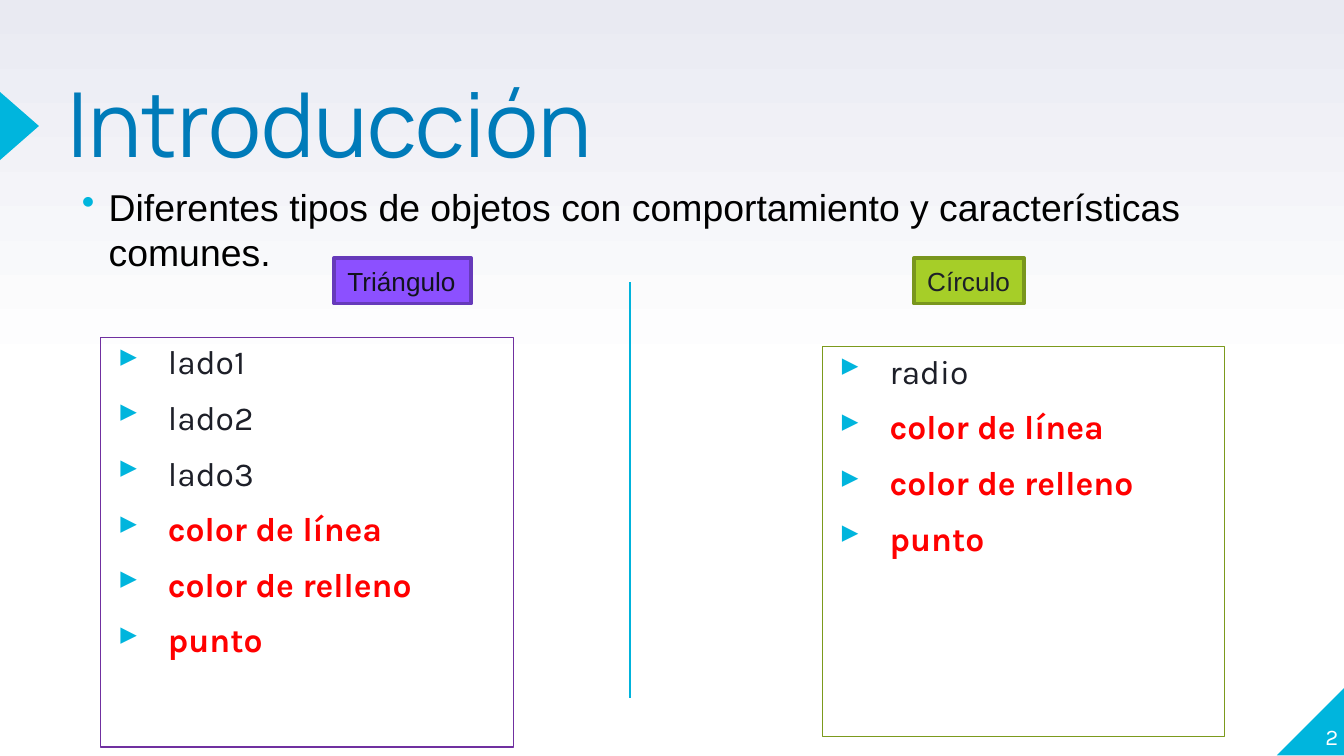
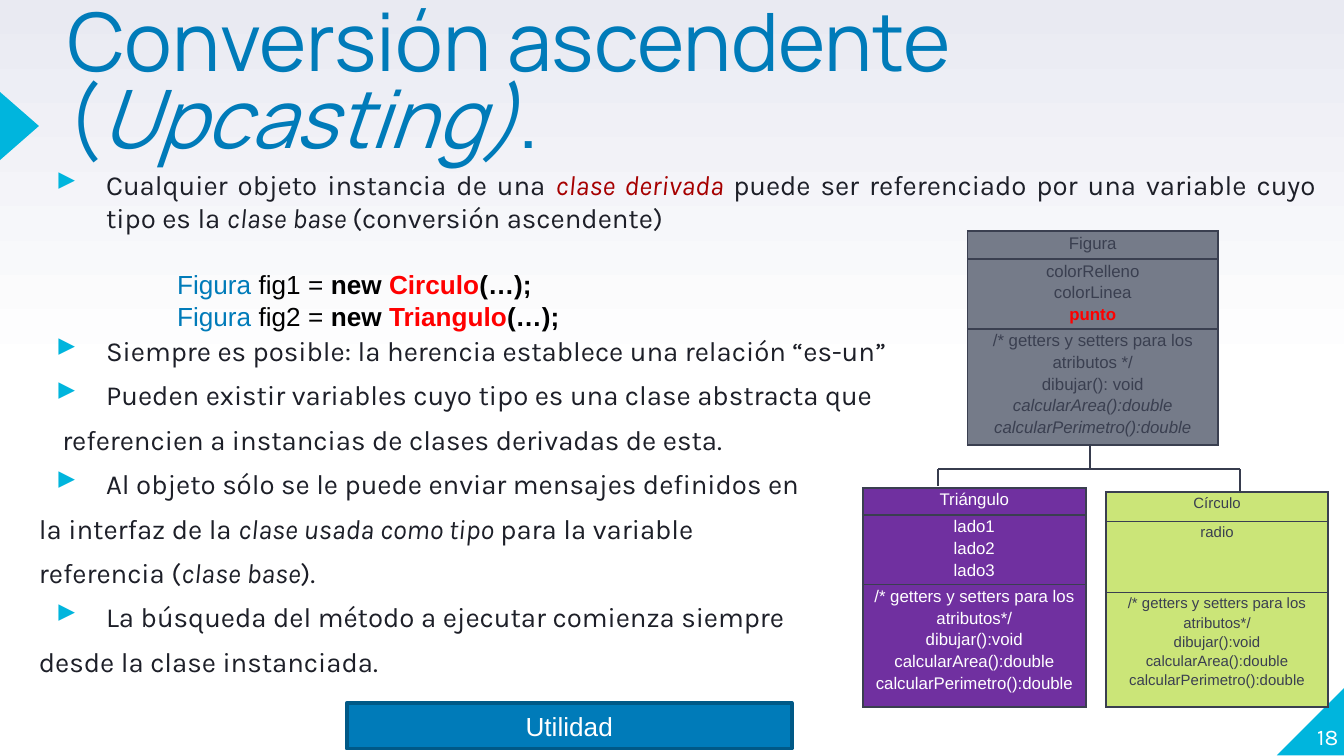
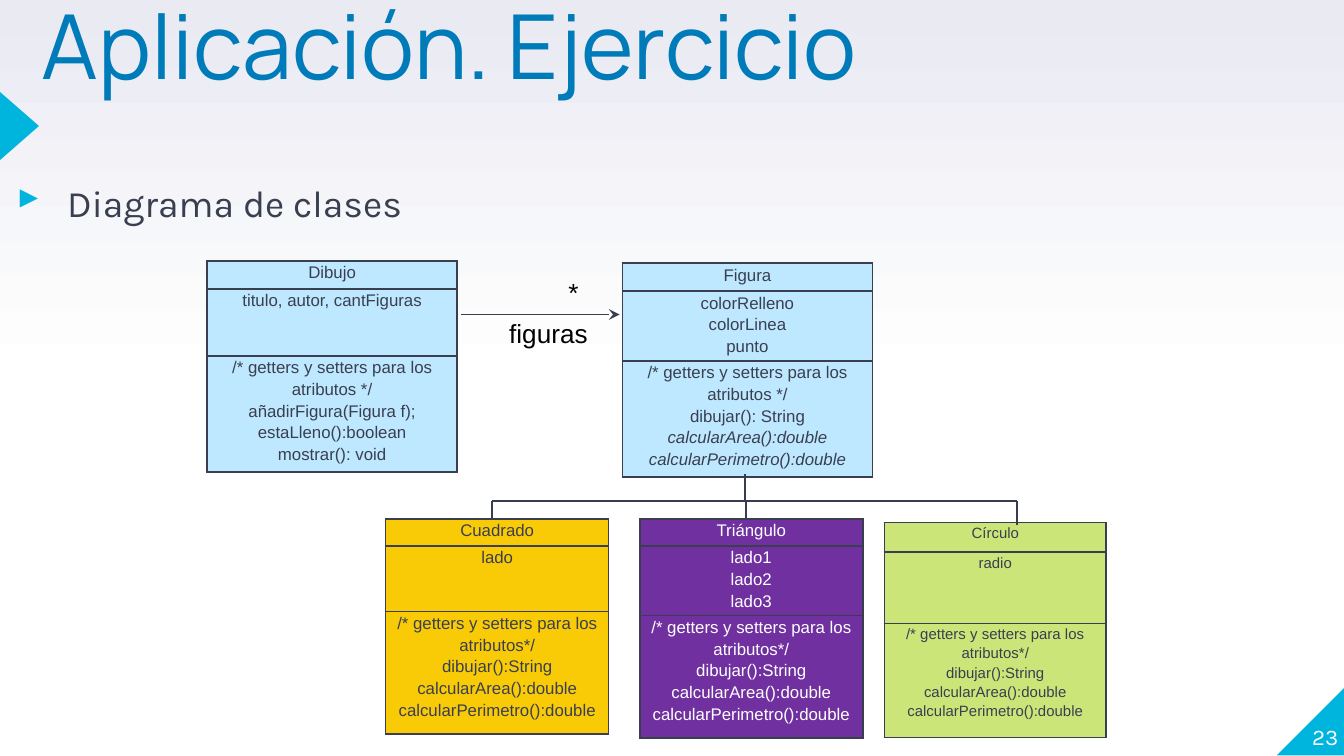
from dataclasses import dataclass
from typing import NamedTuple, Optional, Sequence, Union

from lxml.etree import SubElement
from pptx import Presentation
from pptx.dml.color import RGBColor
from pptx.enum.shapes import MSO_CONNECTOR, MSO_SHAPE
from pptx.enum.text import MSO_ANCHOR as Anchor, PP_ALIGN as Align
from pptx.oxml.ns import qn
from pptx.util import Pt

COLORS = {
    "white": "FFFFFF", "black": "000000", "haze": "E9EAF2",
    "cyan": "00B5DD", "divider": "00B3DC", "blue": "007BB9", "navy": "005987",
    "ink": "1D1F28", "deep ink": "11131D", "slate": "3A3F50", "tree": "373C4E",
    "red": "FF0000", "dark red": "A60000",
    "purple": "7030A0", "violet": "8C50FF", "violet edge": "663ABA",
    "green": "A6CE28", "green edge": "79961D", "olive": "7C9A1D",
    "lime": "CBE578", "sky": "BEE8FF", "gray": "757B89", "yellow": "F9CB07",
}


class Box(NamedTuple):
    left: float
    top: float
    width: float
    height: float


class Font(NamedTuple):
    face: str
    size: float
    color: str


class Run(NamedTuple):
    text: str
    color: Optional[str] = None
    bold: bool = False
    italic: bool = False


Piece = Union[str, Run]


@dataclass
class Para:
    runs: Sequence[Piece]
    bullet: str = ""
    bullet_percent: int = 100
    left: float = 0
    hanging: float = 0
    before: float = 0
    line: float = 1.0
    align: Align = Align.LEFT


@dataclass
class UmlClass:
    name: str
    attributes: Sequence[Piece]
    operations: Sequence[Piece]
    fill: str
    rows: Sequence[float]
    width: float = 119.5
    ink: str = "slate"
    size: float = 9


TITLE = Font("Manrope", 48, "blue")
NUMBER = Font("Karla", 12, "white")
LABEL = Font("Arial", 14, "black")
PADDING = (7.2, 3.6)
FIGURE_ROWS = (15, 36, 60)
SHAPE_ROWS = (14.4, 35.3, 65.5)
CIRCLE_ROWS = (15.8, 38.2, 61.2)


def rgb(name: str) -> RGBColor:
    return RGBColor.from_string(COLORS[name])


def points(values: Sequence[float]) -> list:
    return [Pt(value) for value in values]


def write(frame, paras: Sequence[Para], font: Font) -> None:
    for index, para in enumerate(paras):
        p = frame.add_paragraph() if index else frame.paragraphs[0]
        p.alignment = para.align
        p.line_spacing = para.line
        p.space_before = Pt(para.before)
        props = p._p.get_or_add_pPr()
        props.set("marL", str(Pt(para.left)))
        props.set("indent", str(-Pt(para.hanging)))
        if para.bullet:
            tint = SubElement(props, qn("a:buClr"))
            SubElement(tint, qn("a:srgbClr"), val=COLORS["cyan"])
            SubElement(props, qn("a:buSzPct"), val=str(para.bullet_percent * 1000))
            SubElement(props, qn("a:buChar"), char=para.bullet)
        for piece in para.runs:
            part = Run(piece) if isinstance(piece, str) else piece
            run = p.add_run()
            run.text = part.text
            run.font.name, run.font.size = font.face, Pt(font.size)
            run.font.bold, run.font.italic = part.bold, part.italic
            run.font.color.rgb = rgb(part.color or font.color)


def set_frame(frame, padding: Sequence[float], anchor: Anchor, wrap: bool) -> None:
    frame.margin_left = frame.margin_right = Pt(padding[0])
    frame.margin_top = frame.margin_bottom = Pt(padding[1])
    frame.vertical_anchor = anchor
    frame.word_wrap = wrap


def add_text(slide, box: Box, paras: Sequence[Para], font: Font,
             padding: Sequence[float] = (0, 0), anchor: Anchor = Anchor.TOP,
             outline: str = "") -> None:
    area = slide.shapes.add_textbox(*points(box))
    set_frame(area.text_frame, padding, anchor, True)
    write(area.text_frame, paras, font)
    if outline:
        area.line.color.rgb = rgb(outline)
        area.line.width = Pt(0.75)


def add_filled(slide, kind: MSO_SHAPE, box: Box, fill: str, edge: str = ""):
    shape = slide.shapes.add_shape(kind, *points(box))
    shape.shadow.inherit = False
    shape.fill.solid()
    shape.fill.fore_color.rgb = rgb(fill)
    if edge:
        shape.line.color.rgb = rgb(edge)
        shape.line.width = Pt(2)
    else:
        shape.line.fill.background()
    return shape


def add_label(slide, box: Box, text: str, fill: str, edge: str, ink: str,
              align: Align = Align.LEFT) -> None:
    label = add_filled(slide, MSO_SHAPE.RECTANGLE, box, fill, edge)
    set_frame(label.text_frame, PADDING, Anchor.MIDDLE, False)
    write(label.text_frame, [Para([text], align=align)], LABEL._replace(color=ink))


def add_line(slide, x1: float, y1: float, x2: float, y2: float,
             color: str = "tree", arrow: bool = False) -> None:
    line = slide.shapes.add_connector(MSO_CONNECTOR.STRAIGHT, *points((x1, y1, x2, y2)))
    line.line.color.rgb = rgb(color)
    line.line.width = Pt(0.75)
    if arrow:
        SubElement(line.line._get_or_add_ln(), qn("a:tailEnd"), type="stealth")
    SubElement(line._element.spPr, qn("a:effectLst"))


def add_tree(slide, trunk: Sequence[float], bar_y: float,
             branches: Sequence[Sequence[float]]) -> None:
    """Join a parent (x, top) to its children (x, bottom) through a bar."""
    add_line(slide, branches[0][0], bar_y, branches[-1][0], bar_y)
    add_line(slide, *trunk, trunk[0], bar_y)
    for x, bottom in branches:
        add_line(slide, x, bar_y, x, bottom)


def add_borders(cell) -> None:
    props = cell._tc.get_or_add_tcPr()
    for index, side in enumerate(("lnL", "lnR", "lnT", "lnB")):
        border = SubElement(props, qn(f"a:{side}"), w=str(Pt(1)))
        solid = SubElement(border, qn("a:solidFill"))
        SubElement(solid, qn("a:srgbClr"), val=COLORS["slate"])
        props.insert(index, border)


def add_class(slide, left: float, top: float, uml: UmlClass) -> None:
    box = Box(left, top, uml.width, sum(uml.rows))
    table = slide.shapes.add_table(3, 1, *points(box)).table
    table.first_row = table.horz_banding = False
    table.columns[0].width = Pt(uml.width)
    font = Font("Arial", uml.size, uml.ink)
    sections = ([uml.name], uml.attributes, uml.operations)
    for row, (height, lines) in enumerate(zip(uml.rows, sections)):
        table.rows[row].height = Pt(height)
        cell = table.cell(row, 0)
        cell.margin_left = cell.margin_right = Pt(5)
        cell.margin_top = cell.margin_bottom = Pt(0)
        cell.fill.solid()
        cell.fill.fore_color.rgb = rgb(uml.fill)
        add_borders(cell)
        write(cell.text_frame,
              [Para([line], line=1.15, align=Align.CENTER) for line in lines], font)


def start_slide(prs, number: int, title: Sequence[Piece], box: Box, size: float = 48):
    """Add a slide with the shared background, corner marks, title and number."""
    slide = prs.slides.add_slide(prs.slide_layouts[6])
    backdrop = slide.background.fill
    backdrop.gradient()
    backdrop.gradient_angle = 90
    for stop, position, color in zip(backdrop.gradient_stops, (0.5, 1), ("white", "haze")):
        stop.position = position
        stop.color.rgb = rgb(color)
    corner = add_filled(slide, MSO_SHAPE.RIGHT_TRIANGLE, Box(684, 368, 36.7, 36.7), "cyan")
    corner.rotation = 270
    pointer = add_filled(slide, MSO_SHAPE.ISOSCELES_TRIANGLE, Box(-8, 57, 36.7, 21), "cyan")
    pointer.rotation = 90
    add_text(slide, box, [Para(title, line=0.8)], TITLE._replace(size=size))
    add_text(slide, Box(681, 365, 36, 36.7), [Para([str(number)], align=Align.RIGHT)],
             NUMBER, anchor=Anchor.BOTTOM)
    return slide


def bullet_item(piece: Piece) -> Para:
    return Para([piece], "▸", left=36, hanging=27, before=6, line=1.1)


def figure_class(fill: str, point: Piece, result: str) -> UmlClass:
    return UmlClass(
        "Figura", ["colorRelleno", "colorLinea", point],
        ["/* getters y setters para los atributos */", f"dibujar(): {result}",
         Run("calcularArea():double", italic=True),
         Run("calcularPerimetro():double", italic=True)],
        fill, FIGURE_ROWS, width=134)


def shape_operations(result: str) -> list:
    return ["/* getters y setters para los atributos*/", f"dibujar():{result}",
            "calcularArea():double", "calcularPerimetro():double"]


def triangle_class(result: str) -> UmlClass:
    return UmlClass("Triángulo", ["lado1", "lado2", "lado3"], shape_operations(result),
                    "purple", SHAPE_ROWS, ink="white")


def circle_class(result: str) -> UmlClass:
    return UmlClass("Círculo", ["radio"], shape_operations(result),
                    "lime", CIRCLE_ROWS, width=118.8, size=8)


def build_introduction(prs) -> None:
    slide = start_slide(prs, 2, ["Introducción"], Box(36, 47.5, 444, 85))
    shared = [Run(text, "red", bold=True)
              for text in ("color de línea", "color de relleno", "punto")]
    columns = (
        (Box(54, 180.7, 221, 219.6), "purple", ["lado1", "lado2", "lado3"]),
        (Box(440.6, 185.8, 215.3, 208.8), "olive", ["radio"]),
    )
    for box, outline, own in columns:
        add_text(slide, box, [bullet_item(item) for item in own + shared],
                 Font("Karla", 18, "ink"), outline=outline)
    add_label(slide, Box(179, 138.2, 73.4, 24.5), "Triángulo",
              "violet", "violet edge", "deep ink")
    intro = "Diferentes tipos de objetos con comportamiento y características comunes."
    add_text(slide, Box(36.7, 95, 646.6, 55.4),
             [Para([intro], "•", left=14.4, hanging=14.4)],
             LABEL._replace(size=20), PADDING)
    add_label(slide, Box(489.6, 138.2, 59, 24.5), "Círculo", "green", "green edge", "ink")
    add_line(slide, 337.5, 151.2, 337.5, 373.7, "divider")


def build_upcasting(prs) -> None:
    title = ["Conversión ascendente (", Run("Upcasting)", italic=True), "."]
    slide = start_slide(prs, 18, title, Box(36, 5, 684, 85), 43.2)

    def item(*runs: Piece, before: float = 6) -> Para:
        return Para(runs, "▸", 122, 36, 27, before, align=Align.JUSTIFY)

    def continued(*runs: Piece, left: float = 0) -> Para:
        return Para(runs, left=left, before=6, align=Align.JUSTIFY)

    body = [
        item("Cualquier objeto instancia de una ",
             Run("clase derivada ", "dark red", italic=True),
             "puede ser referenciado por una variable cuyo tipo es la ",
             Run("clase base ", italic=True), "(conversión ascendente)"),
        item("Siempre es posible: la herencia establece una relación “es-un”",
             before=53.5),
        item("Pueden existir variables cuyo tipo es una clase abstracta que"),
        continued("referencien a instancias de clases derivadas de esta.", left=12.5),
        item("Al objeto sólo se le puede enviar mensajes definidos en"),
        continued("la interfaz de la ", Run("clase usada como tipo", italic=True),
                  " para la variable"),
        continued("referencia (", Run("clase base", italic=True), ")."),
        item("La búsqueda del método a ejecutar comienza siempre"),
        continued("desde la clase instanciada."),
    ]
    add_text(slide, Box(20.9, 90, 684, 288), body, Font("Karla", 14.8, "ink"))
    code = [Para([Run("Figura", "blue"), f" {variable} = ", Run("new ", bold=True),
                  Run(kind, "red", bold=True), Run("(…);", bold=True)])
            for variable, kind in (("fig1", "Circulo"), ("fig2", "Triangulo"))]
    add_text(slide, Box(87.8, 140.4, 289.4, 41), code, LABEL, PADDING)

    add_class(slide, 518.4, 123.8,
              figure_class("gray", Run("punto", "red", bold=True), "void"))
    add_class(slide, 592.6, 263.5, circle_class("void"))
    add_class(slide, 462.2, 261.4, triangle_class("void"))
    add_tree(slide, (584, 237.6), 251.3, [(502.6, 260.6), (664.4, 264.2)])
    add_label(slide, Box(185.8, 376.6, 238.3, 24.5), "Utilidad",
              "blue", "navy", "white", Align.CENTER)


def build_exercise(prs) -> None:
    slide = start_slide(prs, 23, ["Aplicación. Ejercicio"], Box(22.3, 5.8, 484.6, 85))
    add_text(slide, Box(0, 94.3, 648, 288), [bullet_item("Diagrama de clases")],
             Font("Karla", 20, "slate"))
    drawing = UmlClass(
        "Dibujo", ["titulo, autor, cantFiguras"],
        ["/* getters y setters para los atributos */", "añadirFigura(Figura f);",
         "estaLleno():boolean", "mostrar(): void"],
        "sky", FIGURE_ROWS, width=134)
    square = UmlClass("Cuadrado", ["lado"], shape_operations("String"),
                      "yellow", SHAPE_ROWS)
    add_class(slide, 333.4, 141, figure_class("sky", "punto", "String"))
    add_class(slide, 473.8, 280, circle_class("String"))
    add_class(slide, 342.7, 278, triangle_class("String"))
    add_class(slide, 206.6, 278, square)
    add_class(slide, 110.9, 139.7, drawing)
    add_tree(slide, (399.2, 254.2), 268.4, [(263.5, 278), (399.6, 278), (544.8, 281.5)])
    add_line(slide, 247, 168.5, 332, 168.5, "slate", arrow=True)
    add_text(slide, Box(297.4, 144.7, 28, 28.8), [Para(["*"])], LABEL, PADDING)
    add_text(slide, Box(265.7, 166.3, 82.8, 24.5), [Para(["figuras"])], LABEL, PADDING)


def main() -> None:
    prs = Presentation()
    prs.slide_width, prs.slide_height = Pt(720), Pt(405)
    build_introduction(prs)
    build_upcasting(prs)
    build_exercise(prs)
    prs.save("out.pptx")


if __name__ == "__main__":
    main()
